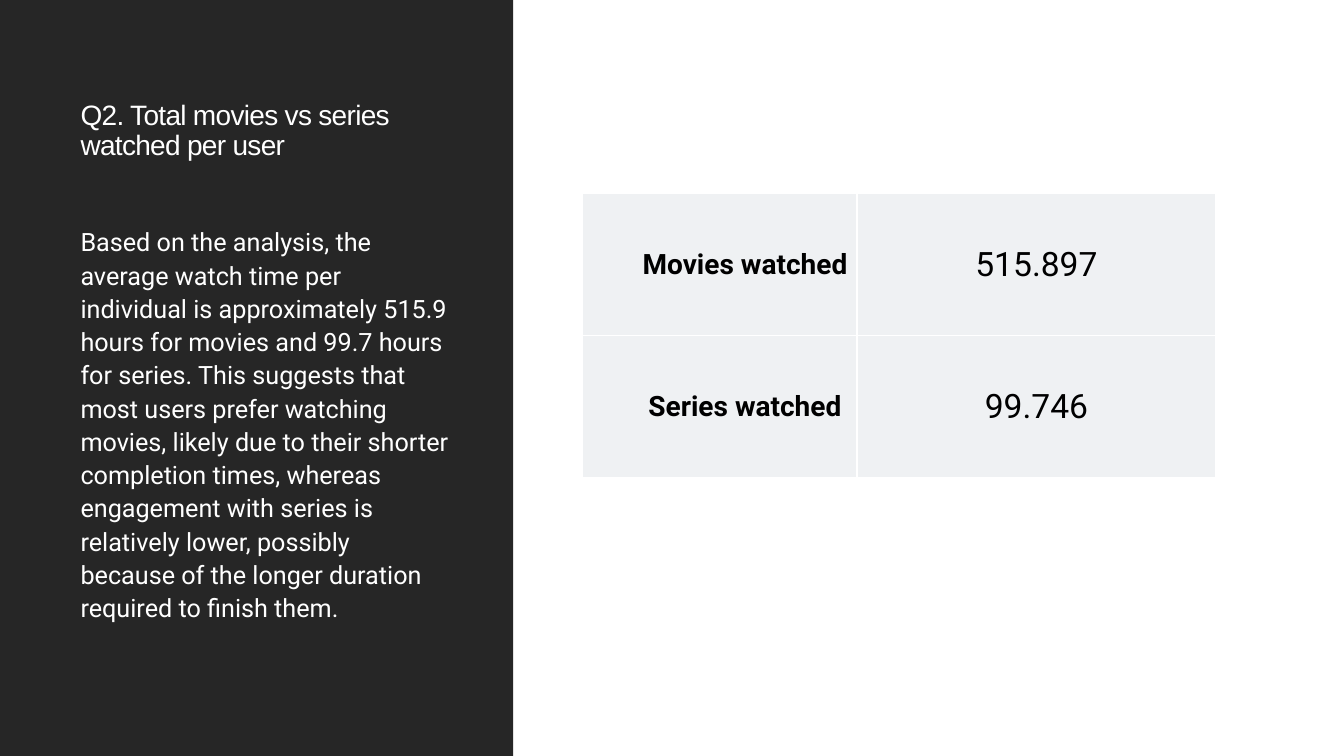
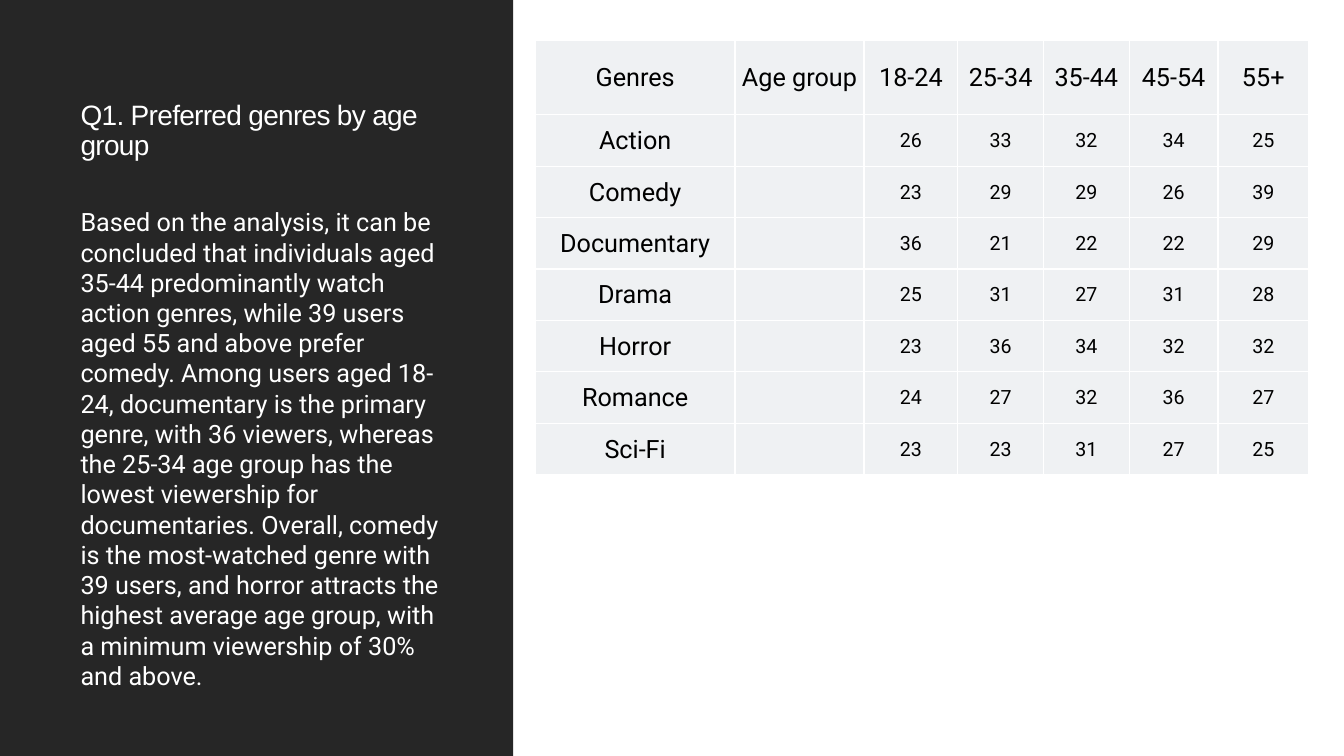
from lxml import etree
from pptx import Presentation
from pptx.dml.color import RGBColor
from pptx.enum.shapes import MSO_SHAPE
from pptx.enum.text import MSO_ANCHOR, PP_ALIGN
from pptx.oxml.ns import qn
from pptx.util import Inches, Pt

COLORS = {"panel": "262626", "light": "FFFFFF", "cell": "EFF1F3", "ink": "000000"}
TITLE_FONT, BODY_FONT = "Arial", "Roboto"
TEXT_LEFT, TEXT_WIDTH = 0.7, 3.85

WATCHED = [("Movies watched", "515.897"), ("Series watched", "99.746")]
AGE_GROUPS = ["18-24", "25-34", "35-44", "45-54", "55+"]
VIEWERS = {
    "Action": (26, 33, 32, 34, 25),
    "Comedy": (23, 29, 29, 26, 39),
    "Documentary": (36, 21, 22, 22, 29),
    "Drama": (25, 31, 27, 31, 28),
    "Horror": (23, 36, 34, 32, 32),
    "Romance": (24, 27, 32, 36, 27),
    "Sci-Fi": (23, 23, 31, 27, 25),
}

PAGES = [
    {
        "title": "Q2. Total movies vs series watched per user",
        "body": "Based on the analysis, the average watch time per individual is "
                "approximately 515.9 hours for movies and 99.7 hours for series. This "
                "suggests that most users prefer watching movies, likely due to their "
                "shorter completion times, whereas engagement with series is relatively "
                "lower, possibly because of the longer duration required to finish them.",
        "body_top": 2.17, "body_height": 4.51, "line_spacing": 1.1,
        "table_at": (5.78, 1.92),
        "columns": [2.72, 3.56],
        "row_heights": [1.41] * len(WATCHED),
        "rows": WATCHED,
        "label_size": 20, "value_size": 24, "label_bold": True, "label_indent": 0.5,
    },
    {
        "title": "Q1. Preferred genres by age group",
        "body": "Based on the analysis, it can be concluded that individuals aged 35-44 "
                "predominantly watch action genres, while 39 users aged 55 and above "
                "prefer comedy. Among users aged 18-24, documentary is the primary genre, "
                "with 36 viewers, whereas the 25-34 age group has the lowest viewership "
                "for documentaries. Overall, comedy is the most-watched genre with 39 "
                "users, and horror attracts the highest average age group, with a minimum "
                "viewership of 30% and above.",
        "body_top": 2, "body_height": 4.68, "line_spacing": 1.0,
        "table_at": (5.31, 0.4),
        "columns": [1.98, 1.28, 0.93, 0.85, 0.85, 0.88, 0.9],
        "row_heights": [0.74] + [0.51] * len(VIEWERS),
        "rows": [["Genres", "Age group", *AGE_GROUPS]]
                + [[genre, "", *counts] for genre, counts in VIEWERS.items()],
        "label_size": 18, "value_size": 14, "label_bold": False, "label_indent": 0,
        "header": True,
    },
]


def rgb(name):
    return RGBColor.from_string(COLORS[name])


def style_font(font, name, size, color, bold=False):
    font.name, font.size, font.bold = name, Pt(size), bold
    font.color.rgb = rgb(color)


def add_panel(page):
    panel = page.shapes.add_shape(MSO_SHAPE.RECTANGLE, 0, 0, Inches(5.09), Inches(7.5))
    panel.shadow.inherit = False
    panel.fill.solid()
    panel.fill.fore_color.rgb = rgb("panel")
    panel.line.fill.background()


def add_text(page, text, top, height, font_name, size, line_spacing,
             anchor=MSO_ANCHOR.TOP):
    box = page.shapes.add_textbox(Inches(TEXT_LEFT), Inches(top),
                                  Inches(TEXT_WIDTH), Inches(height))
    frame = box.text_frame
    frame.word_wrap = True
    frame.vertical_anchor = anchor
    frame.text = text
    para = frame.paragraphs[0]
    para.line_spacing = line_spacing
    span = para.runs[0]
    style_font(span.font, font_name, size, "light")
    return span


def add_borders(cell):
    properties = cell._tc.get_or_add_tcPr()
    for position, side in enumerate(("lnL", "lnR", "lnT", "lnB")):
        line = etree.Element(qn(f"a:{side}"), w=str(Pt(1)))
        fill = etree.SubElement(line, qn("a:solidFill"))
        etree.SubElement(fill, qn("a:srgbClr"), val=COLORS["light"])
        properties.insert(position, line)


def fill_cell(cell, value, size, bold, indent):
    cell.fill.solid()
    cell.fill.fore_color.rgb = rgb("cell")
    cell.vertical_anchor = MSO_ANCHOR.MIDDLE
    cell.margin_left = cell.margin_right = cell.margin_top = Inches(0.01)
    cell.margin_bottom = 0
    add_borders(cell)
    cell.text_frame.text = str(value)
    para = cell.text_frame.paragraphs[0]
    para.alignment = PP_ALIGN.CENTER
    if indent:
        para._p.get_or_add_pPr().set("marL", str(Inches(indent)))
    for span in para.runs:
        style_font(span.font, BODY_FONT, size, "ink", bold)


def add_data_table(page, content):
    rows, columns, heights = content["rows"], content["columns"], content["row_heights"]
    left, top = content["table_at"]
    table = page.shapes.add_table(len(rows), len(columns), Inches(left), Inches(top),
                                  Inches(sum(columns)), Inches(sum(heights))).table
    table.first_row = table.horz_banding = False
    for column, width in zip(table.columns, columns):
        column.width = Inches(width)
    for row, height in zip(table.rows, heights):
        row.height = Inches(height)
    for r, values in enumerate(rows):
        for c, value in enumerate(values):
            is_label = c == 0 or (r == 0 and content.get("header", False))
            fill_cell(table.cell(r, c), value,
                      content["label_size" if is_label else "value_size"],
                      is_label and content["label_bold"],
                      content["label_indent"] if is_label else 0)


def add_page(deck, content):
    page = deck.slides.add_slide(deck.slide_layouts[6])
    add_panel(page)
    title = add_text(page, content["title"], 0.86, 0.79, TITLE_FONT, 20, 0.9,
                     MSO_ANCHOR.BOTTOM)
    title.font._element.set("spc", "-50")
    add_text(page, content["body"], content["body_top"], content["body_height"],
             BODY_FONT, 18, content["line_spacing"])
    add_data_table(page, content)


def main():
    deck = Presentation()
    deck.slide_width, deck.slide_height = Inches(13.33), Inches(7.5)
    for content in PAGES:
        add_page(deck, content)
    deck.save("out.pptx")


if __name__ == "__main__":
    main()
